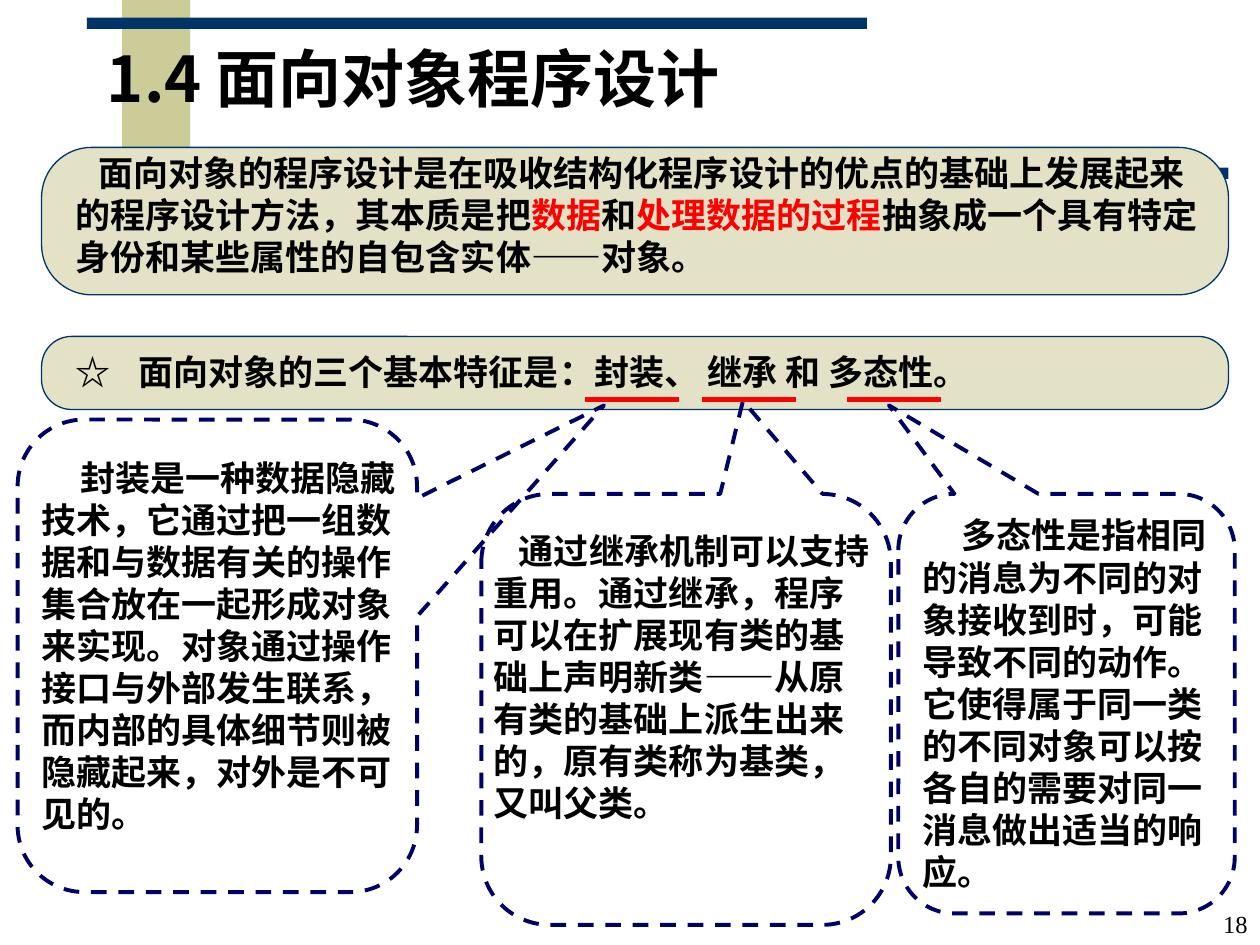
from lxml import etree
from pptx import Presentation
from pptx.dml.color import RGBColor
from pptx.enum.dml import MSO_LINE
from pptx.enum.shapes import MSO_CONNECTOR, MSO_SHAPE as SHAPE
from pptx.enum.text import MSO_ANCHOR as ANCHOR, PP_ALIGN as ALIGN
from pptx.oxml.ns import qn
from pptx.util import Inches, Pt

SANS, TITLE_FONT, SERIF = "Noto Sans CJK SC", "Noto Sans CJK JP", "Times New Roman"
BLACK, RED, NAVY, INDIGO = "000000", "FF0000", "003366", "000066"
KHAKI, SAND = "CCCC99", "E3E2C7"

deck = Presentation()
deck.slide_width, deck.slide_height = Inches(10), Inches(7.5)
slide = deck.slides.add_slide(deck.slide_layouts[6])
shapes = slide.shapes


def add_panel(kind, place, fill=None, line=None, width=0.75, adjust=()):
    panel = shapes.add_shape(kind, *map(Inches, place))
    panel.shadow.inherit = False
    for index, value in enumerate(adjust):
        panel.adjustments[index] = value
    if fill:
        panel.fill.solid()
        panel.fill.fore_color.rgb = RGBColor.from_string(fill)
    else:
        panel.fill.background()
    if line:
        panel.line.color.rgb = RGBColor.from_string(line)
        panel.line.width = Pt(width)
    else:
        panel.line.fill.background()
    return panel


def add_text(place, runs, size=20, font=SERIF, east=SANS, bold=True, indent=0,
             spacing=Pt(24), anchor=ANCHOR.TOP, align=ALIGN.LEFT):
    box = shapes.add_textbox(*map(Inches, place))
    frame = box.text_frame
    frame.word_wrap = True
    frame.vertical_anchor = anchor
    para = frame.paragraphs[0]
    para.alignment = align
    para.line_spacing = spacing
    para_props = para._p.get_or_add_pPr()
    para_props.set("marL", "0")
    para_props.set("indent", str(Inches(indent)))
    for text, color in runs:
        span = para.add_run()
        span.text = text
        span.font.size, span.font.bold, span.font.name = Pt(size), bold, font
        span.font.color.rgb = RGBColor.from_string(color)
        etree.SubElement(span._r.get_or_add_rPr(), qn("a:ea")).set("typeface", east)
    return para


# Background bars
for place, fill in [((0.97, 0, 0.54, 1.25), KHAKI),
                    ((0.69, 0.14, 6.19, 0.09), NAVY),
                    ((3.56, 1.33, 6.19, 0.09), NAVY)]:
    add_panel(SHAPE.RECTANGLE, place, fill)

# Definition
add_panel(SHAPE.ROUNDED_RECTANGLE, (0.33, 1.17, 9.42, 1.17), SAND, NAVY, adjust=[0.34])
add_text((0.5, 1.15, 9.17, 1.1), [
    ("面向对象的程序设计是在吸收结构化程序设计的优点的基础上发展起来的程序设计方法，其本质是把", BLACK),
    ("数据", RED),
    ("和", BLACK),
    ("处理数据的过程", RED),
    ("抽象成一个具有特定身份和某些属性的自包含实体——对象。", BLACK),
], font=SANS, indent=0.18)

# Three features
add_panel(SHAPE.ROUNDED_RECTANGLE, (0.33, 2.67, 9.42, 0.58), SAND, NAVY, adjust=[0.41])
features = add_text((0.5, 2.73, 9.17, 0.44), [
    ("☆\t面向对象的三个基本特征是：封装、 继承 和 多态性。", BLACK)])
tabs = etree.SubElement(features._p.get_or_add_pPr(), qn("a:tabLst"))
etree.SubElement(tabs, qn("a:tab"), pos=str(Inches(0.43)), algn="l")

# Underline, callout and explanation of each feature, kept clear of the rounded corners
callouts = [
    (4.64, (0.14, 3.33, 3.17, 3.75), (0.968, -0.53), (0.23, 3.57, 3.25, 3.44), 0.31,
     "封装是一种数据隐藏技术，它通过把一组数据和与数据有关的操作集合放在一起形成对象来实现。"
     "对象通过操作接口与外部发生联系，而内部的具体细节则被隐藏起来，对外是不可见的。"),
    (5.57, (3.82, 3.92, 3.25, 3.42), (0.139, -0.716), (3.82, 4.15, 3.25, 2.77), 0.2,
     "通过继承机制可以支持重用。通过继承，程序可以在扩展现有类的基础上声明新类——"
     "从原有类的基础上派生出来的，原有类称为基类，又叫父类。"),
    (6.72, (7.13, 3.92, 2.67, 3.33), (-0.528, -0.711), (7.22, 4.03, 2.67, 3.1), 0.31,
     "多态性是指相同的消息为不同的对象接收到时，可能导致不同的动作。"
     "它使得属于同一类的不同对象可以按各自的需要对同一消息做出适当的响应。"),
]
for left, place, tip, text_place, indent, text in callouts:
    underline = shapes.add_connector(MSO_CONNECTOR.STRAIGHT, Inches(left), Inches(3.17),
                                     Inches(left + 0.75), Inches(3.17))
    underline.line.color.rgb = RGBColor.from_string(RED)
    underline.line.width = Pt(3)
    etree.SubElement(underline._element.spPr, qn("a:effectLst"))
    callout = add_panel(SHAPE.ROUNDED_RECTANGULAR_CALLOUT, place, None, INDIGO, 2.25,
                        [*tip, 0.167])
    callout.line.dash_style = MSO_LINE.DASH
    add_text(text_place, [(text, BLACK)], indent=indent)

# Title and slide number
add_text((0.75, 0.33, 8, 0.66), [("1.4 面向对象程序设计", BLACK)], 36, TITLE_FONT,
         TITLE_FONT, spacing=0.85, anchor=ANCHOR.MIDDLE)
add_text((6.63, 7, 3.37, 0.5), [("18", BLACK)], 14, bold=False, spacing=1.0,
         anchor=ANCHOR.BOTTOM, align=ALIGN.RIGHT)

deck.save("out.pptx")
